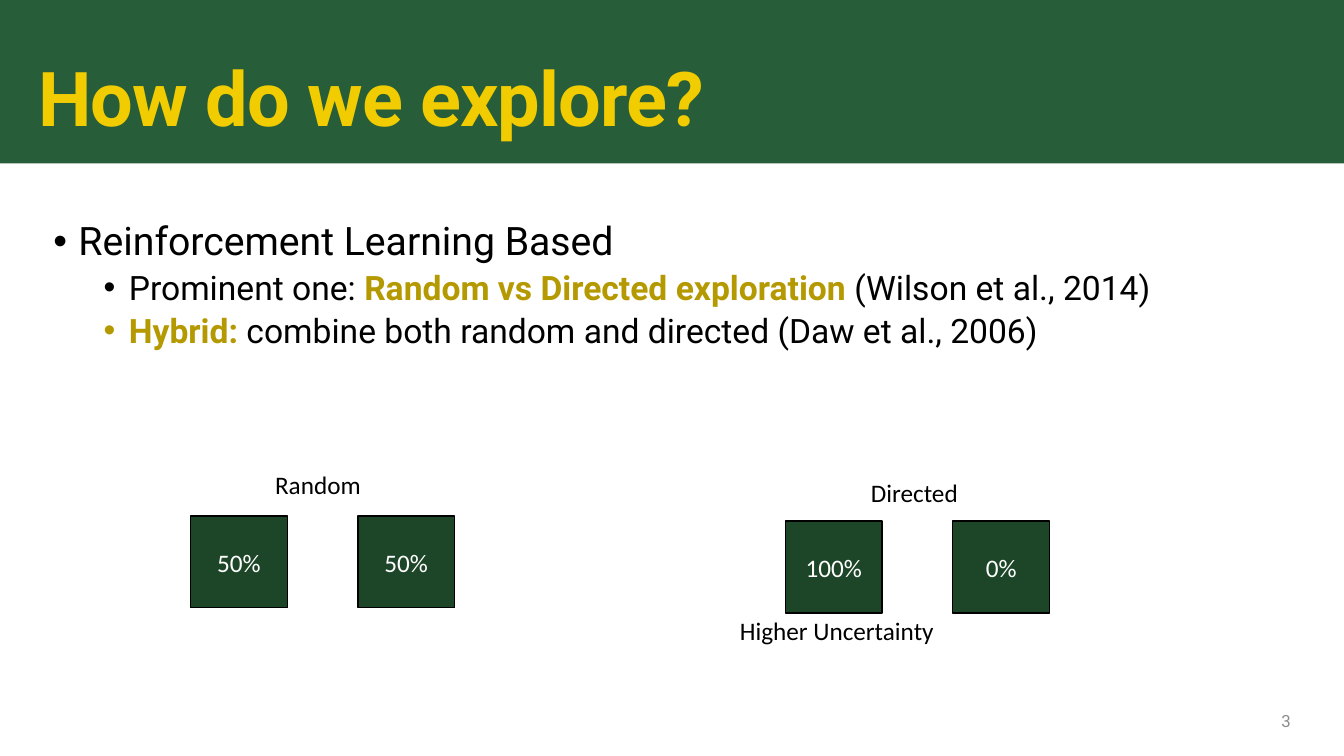
from dataclasses import dataclass

from lxml.etree import SubElement
from pptx import Presentation
from pptx.dml.color import RGBColor
from pptx.enum.shapes import MSO_SHAPE
from pptx.enum.text import MSO_ANCHOR, PP_ALIGN
from pptx.oxml.ns import qn
from pptx.util import Inches, Pt


@dataclass(frozen=True)
class Theme:
    banner: str = "275D38"
    title: str = "F1CC00"
    accent: str = "B59900"
    tile: str = "1D4629"
    text: str = "000000"
    light: str = "FFFFFF"
    muted: str = "8C8C8C"
    heading_font: str = "Roboto"
    label_font: str = "Calibri"
    title_size: int = 54
    body_sizes: tuple = (28, 24)
    label_size: int = 18
    number_size: int = 12


THEME = Theme()
TILE_WIDTH, TILE_HEIGHT, TILE_STEP = 0.96, 0.91, 1.66

# Each paragraph: level, then (text, highlighted) spans
BODY = [
    (0, [("Reinforcement Learning Based", False)]),
    (1, [("Prominent one: ", False),
         ("Random vs Directed exploration ", True),
         ("(Wilson et al., 2014)", False)]),
    (1, [("Hybrid: ", True),
         ("combine both random and directed (Daw et al., 2006)", False)]),
]


def style(span, size, color, font, bold=False):
    span.font.size = Pt(size)
    span.font.name = font
    span.font.bold = bold
    span.font.color.rgb = RGBColor.from_string(color)


def add_rectangle(shapes, left, top, width, height, fill, outline=None):
    box = shapes.add_shape(MSO_SHAPE.RECTANGLE, Inches(left), Inches(top),
                           Inches(width), Inches(height))
    box.shadow.inherit = False
    box.fill.solid()
    box.fill.fore_color.rgb = RGBColor.from_string(fill)
    if outline:
        box.line.color.rgb = RGBColor.from_string(outline)
        box.line.width = Pt(1)
    else:
        box.line.fill.background()
    return box


def add_text_box(shapes, left, top, width, height):
    box = shapes.add_textbox(Inches(left), Inches(top), Inches(width), Inches(height))
    box.text_frame.word_wrap = True
    return box


def add_label(shapes, left, top, width, text):
    box = add_text_box(shapes, left, top, width, 0.4)
    box.text_frame.text = text
    style(box.text_frame.paragraphs[0].runs[0], THEME.label_size, THEME.text,
          THEME.label_font)


def add_title(page, text):
    frame = add_text_box(page.shapes, 0.38, 0.61, 12.52, 0.83).text_frame
    frame.margin_left = frame.margin_right = frame.margin_top = frame.margin_bottom = 0
    frame.text = text
    para = frame.paragraphs[0]
    para.line_spacing = 0.9
    span = para.runs[0]
    style(span, THEME.title_size, THEME.title, THEME.heading_font, bold=True)
    span.font._element.set("spc", "-60")


def set_bullet(para, level):
    para.level = level
    properties = para._p.get_or_add_pPr()
    properties.set("marL", str(Inches(0.25 + 0.5 * level)))
    properties.set("indent", str(Inches(-0.25)))
    SubElement(properties, qn("a:buFont"), typeface="Arial")
    SubElement(properties, qn("a:buChar"), char="•")


def add_body(page, paragraphs):
    frame = add_text_box(page.shapes, 0.43, 2.15, 12.48, 4.59).text_frame
    for index, (level, spans) in enumerate(paragraphs):
        para = frame.add_paragraph() if index else frame.paragraphs[0]
        set_bullet(para, level)
        para.line_spacing = 0.9
        if index:
            para.space_before = Pt(5)
        for text, highlighted in spans:
            span = para.add_run()
            span.text = text
            style(span, THEME.body_sizes[level],
                  THEME.accent if highlighted else THEME.text,
                  THEME.heading_font, bold=highlighted)


def add_choice_pair(page, left, top, chances, labels):
    """Group two choice tiles with their labels, given as left, top, width, text."""
    shapes = page.shapes.add_group_shape().shapes
    for index, chance in enumerate(chances):
        tile = add_rectangle(shapes, left + index * TILE_STEP, top, TILE_WIDTH,
                             TILE_HEIGHT, THEME.tile, THEME.text)
        frame = tile.text_frame
        frame.vertical_anchor = MSO_ANCHOR.MIDDLE
        frame.text = chance
        para = frame.paragraphs[0]
        para.alignment = PP_ALIGN.CENTER
        style(para.runs[0], THEME.label_size, THEME.light, THEME.label_font)
    for label in labels:
        add_label(shapes, *label)


def add_page_number(page, number):
    frame = add_text_box(page.shapes, 9.65, 6.95, 3.25, 0.4).text_frame
    frame.vertical_anchor = MSO_ANCHOR.MIDDLE
    frame.text = number
    para = frame.paragraphs[0]
    para.alignment = PP_ALIGN.RIGHT
    style(para.runs[0], THEME.number_size, THEME.muted, THEME.heading_font)


def main():
    deck = Presentation()
    deck.slide_width, deck.slide_height = Inches(13.33), Inches(7.5)
    page = deck.slides.add_slide(deck.slide_layouts[6])
    add_rectangle(page.shapes, 0, 0, 13.33, 1.62, THEME.banner)
    add_title(page, "How do we explore?")
    add_body(page, BODY)
    add_page_number(page, "3")
    add_choice_pair(page, 1.89, 5.12, ["50%", "50%"], [(2.63, 4.61, 1.27, "Random")])
    add_choice_pair(page, 7.79, 5.17, ["100%", "0%"],
                    [(8.54, 4.69, 1.27, "Directed"),
                     (7.24, 6.06, 3.17, "Higher Uncertainty")])
    deck.save("out.pptx")


if __name__ == "__main__":
    main()
